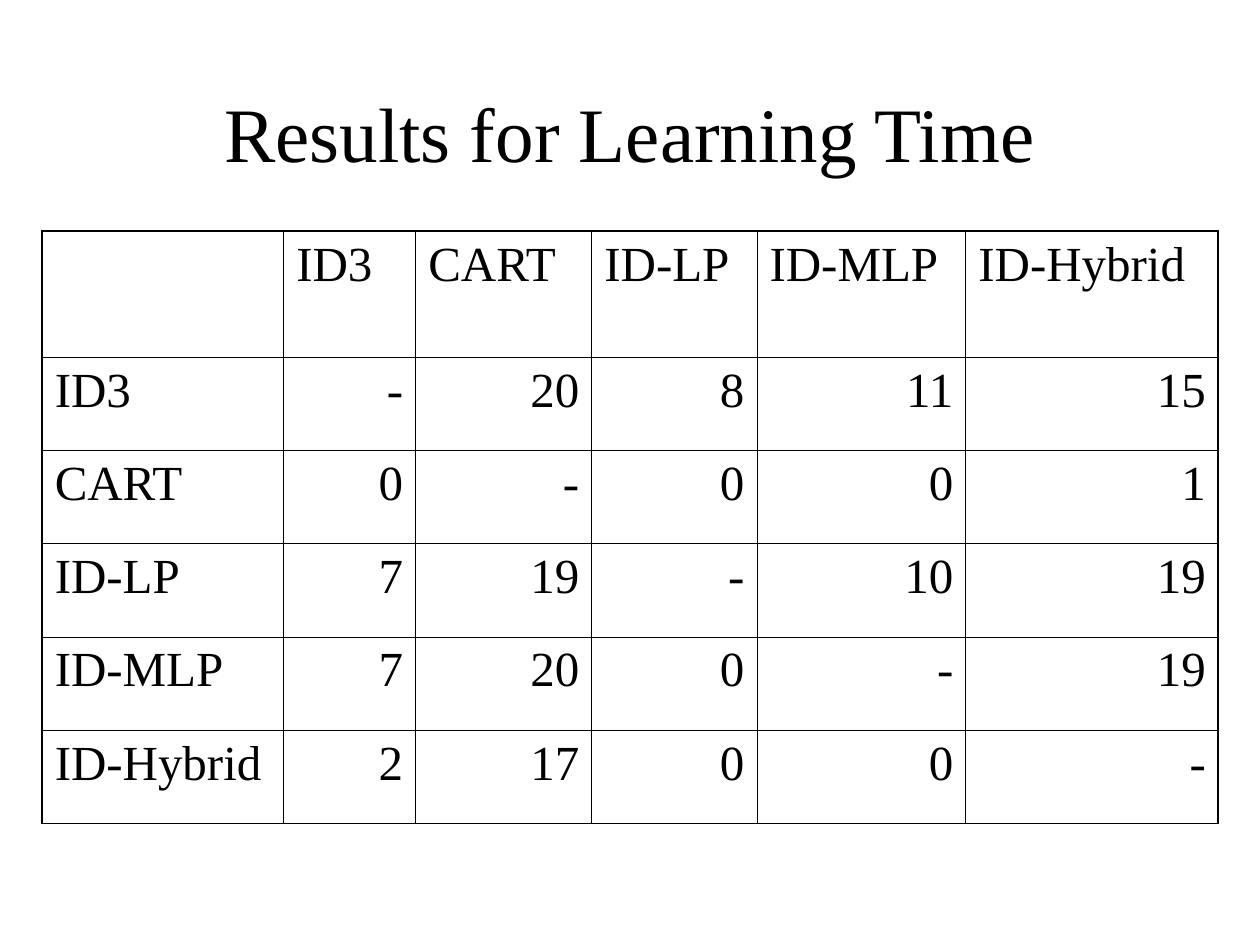
from pptx import Presentation
from pptx.dml.color import RGBColor
from pptx.enum.text import MSO_ANCHOR, MSO_AUTO_SIZE, PP_ALIGN
from pptx.oxml.ns import qn
from pptx.util import Cm, Pt
from lxml import etree

BLACK = RGBColor(0, 0, 0)
FONT = "Times New Roman"
LEFT, CENTER, RIGHT = PP_ALIGN.LEFT, PP_ALIGN.CENTER, PP_ALIGN.RIGHT
TOP, MIDDLE = MSO_ANCHOR.TOP, MSO_ANCHOR.MIDDLE
NO_AUTOFIT = MSO_AUTO_SIZE.NONE

METHODS = ["ID3", "CART", "ID-LP", "ID-MLP", "ID-Hybrid"]
SCORES = [
    ["-", "20", "8", "11", "15"],
    ["0", "-", "0", "0", "1"],
    ["7", "19", "-", "10", "19"],
    ["7", "20", "0", "-", "19"],
    ["2", "17", "0", "0", "-"],
]
COLUMN_WIDTHS = [4.87, 2.66, 3.55, 3.33, 4.21, 5.09]
HEADER_HEIGHT, ROW_HEIGHT = 2.54, 1.88
OUTER_LINE, INNER_LINE = Pt(1.08), Pt(0.45)


def write_text(frame, text, size=28, color=BLACK, align=LEFT):
    paragraph = frame.paragraphs[0]
    paragraph.alignment = align
    run = paragraph.add_run()
    run.text = text
    run.font.name = FONT
    run.font.size = Pt(size)
    run.font.color.rgb = color


def add_title(slide, text):
    title = slide.shapes.add_textbox(Cm(1.9), Cm(1.7), Cm(21.6), Cm(1.9))
    frame = title.text_frame
    frame.word_wrap = True
    frame.auto_size = NO_AUTOFIT
    frame.vertical_anchor = MIDDLE
    write_text(frame, text, size=44, align=CENTER)


def set_border(cell, side, width):
    properties = cell._tc.get_or_add_tcPr()
    line = etree.SubElement(properties, qn(f"a:ln{side}"), w=str(int(width)))
    fill = etree.SubElement(line, qn("a:solidFill"))
    etree.SubElement(fill, qn("a:srgbClr"), val=str(BLACK))


def format_cell(cell, row, column, last_row, last_column):
    on_edge = {
        "L": column == 0,
        "R": column == last_column,
        "T": row == 0,
        "B": row == last_row,
    }
    for side, outer in on_edge.items():
        set_border(cell, side, OUTER_LINE if outer else INNER_LINE)
    cell.fill.background()
    cell.vertical_anchor = TOP


def add_results(slide, rows):
    heights = [HEADER_HEIGHT] + [ROW_HEIGHT] * (len(rows) - 1)
    results = slide.shapes.add_table(
        len(rows), len(COLUMN_WIDTHS), Cm(0.85), Cm(4.66),
        Cm(sum(COLUMN_WIDTHS)), Cm(sum(heights))).table
    results.first_row = False
    results.horz_banding = False
    for column, width in zip(results.columns, COLUMN_WIDTHS):
        column.width = Cm(width)
    for r, (values, height) in enumerate(zip(rows, heights)):
        results.rows[r].height = Cm(height)
        for c, value in enumerate(values):
            cell = results.cell(r, c)
            format_cell(cell, r, c, len(rows) - 1, len(values) - 1)
            if value:
                write_text(cell.text_frame, value,
                           align=RIGHT if r and c else LEFT)


def main():
    deck = Presentation()
    deck.slide_width, deck.slide_height = Cm(25.4), Cm(19.05)
    slide = deck.slides.add_slide(deck.slide_layouts[6])
    add_title(slide, "Results for Learning Time")
    body = [[method, *scores] for method, scores in zip(METHODS, SCORES)]
    add_results(slide, [["", *METHODS], *body])
    deck.save("out.pptx")


if __name__ == "__main__":
    main()
